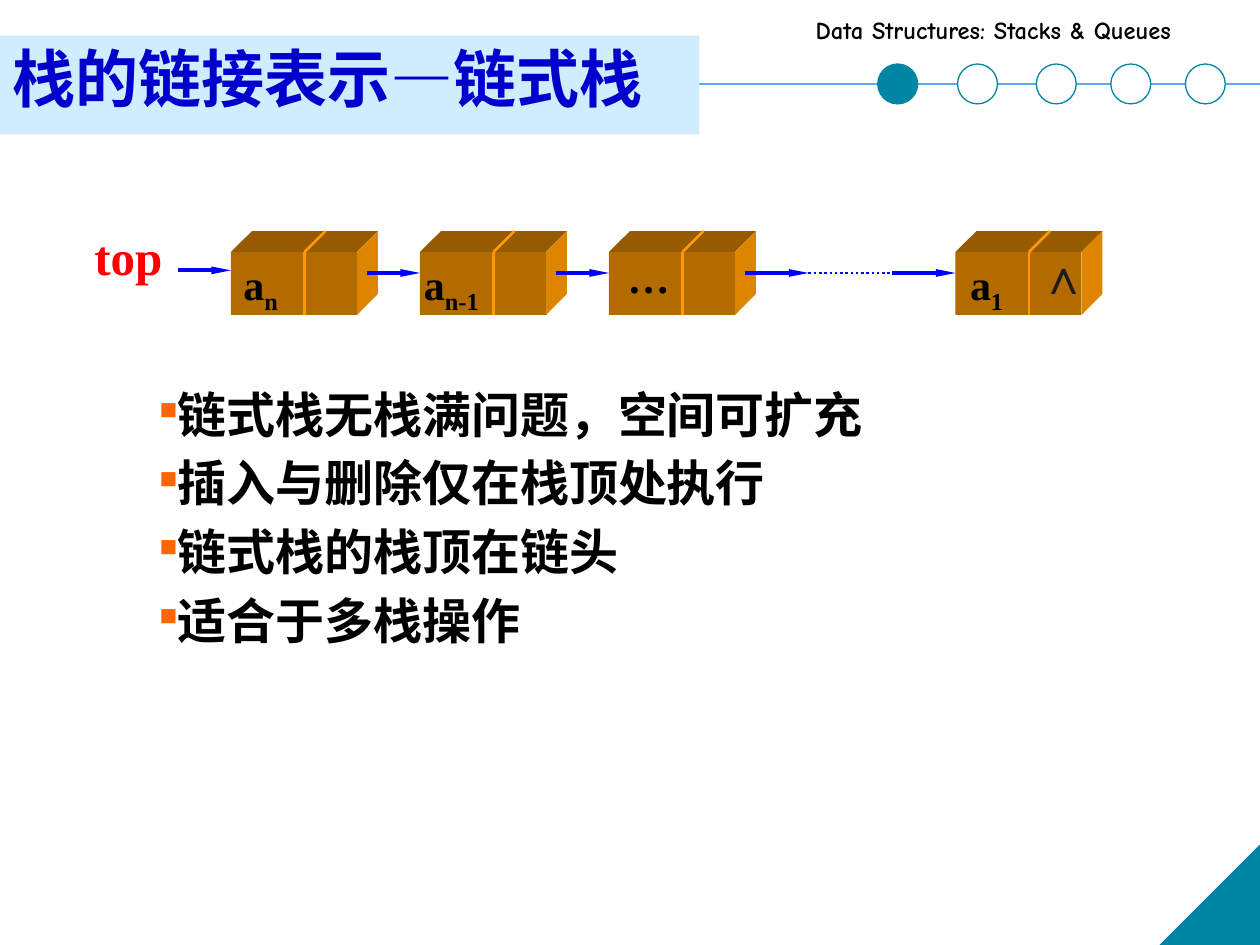
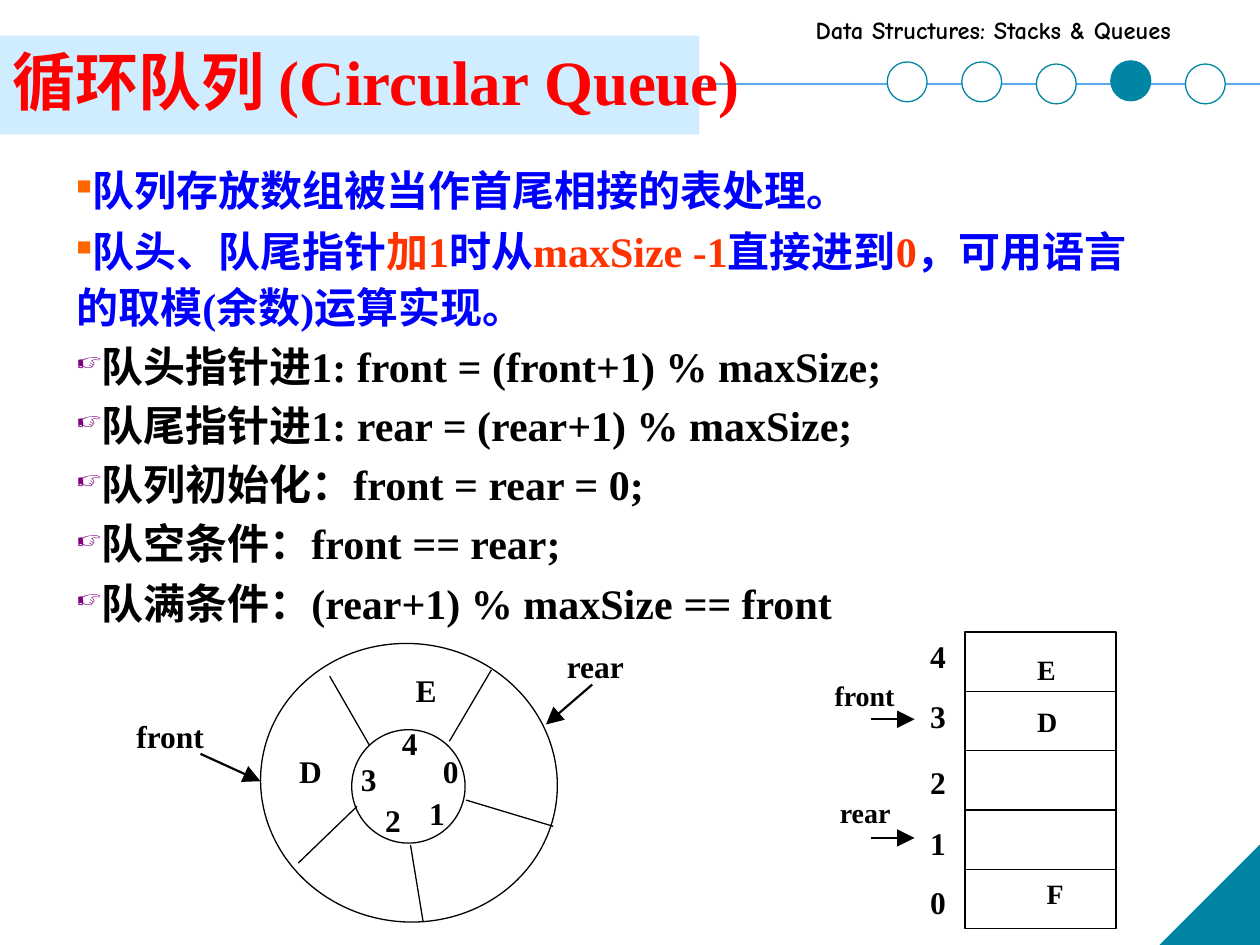
from dataclasses import dataclass
from typing import NamedTuple, Optional, Sequence

from lxml.etree import SubElement
from pptx import Presentation
from pptx.dml.color import RGBColor
from pptx.enum.dml import MSO_LINE
from pptx.enum.shapes import MSO_CONNECTOR, MSO_SHAPE
from pptx.enum.text import MSO_ANCHOR, PP_ALIGN
from pptx.oxml.ns import qn
from pptx.util import Inches, Pt

COLUMNS, ROWS = 120, 90
WIDTH, HEIGHT = Inches(10), Inches(7.5)


@dataclass(frozen=True)
class Theme:
    serif: str = "Times New Roman"
    sans: str = "Noto Sans CJK SC"
    header_font: str = "Comic Neue"
    black: str = "000000"
    near_black: str = "1C1C1C"
    white: str = "FFFFFF"
    teal: str = "0085A4"
    rule: str = "5AAAED"
    band: str = "CFEDFE"
    navy: str = "0000CC"
    blue: str = "0000FF"
    red: str = "FF0000"
    vermilion: str = "FF3300"
    bullet: str = "FF6600"
    pointer: str = "800080"
    cube_front: str = "B36B00"
    cube_top: str = "965A00"
    cube_side: str = "DE8500"
    cube_edge: str = "FF9900"
    title_size: float = 36
    large: float = 28
    body: float = 24
    label: float = 18
    small: float = 16
    header_size: float = 14


THEME = Theme()


class Point(NamedTuple):
    column: float
    row: float


class Box(NamedTuple):
    column: float
    row: float
    columns: float
    rows: float


class Run(NamedTuple):
    text: str
    color: str = THEME.black
    italic: bool = False
    subscript: bool = False


class Label(NamedTuple):
    runs: Sequence[Run]
    at: Point
    size: float = THEME.label
    columns: float = 9


class Bullet(NamedTuple):
    character: str
    color: str
    percent: int


class Item(NamedTuple):
    bullet: Bullet
    runs: Sequence[Run]
    line_spacing: float = 1.0


class Arrowhead(NamedTuple):
    width: str
    length: str


SLIM_HEAD = Arrowhead("sm", "lg")
WIDE_HEAD = Arrowhead("lg", "lg")
SQUARE = Bullet("■", THEME.bullet, 50)
HAND = Bullet("☞", THEME.pointer, 60)


def across(columns: float) -> int:
    return round(WIDTH * columns / COLUMNS)


def down(rows: float) -> int:
    return round(HEIGHT * rows / ROWS)


def frame(box: Box) -> tuple:
    return across(box.column), down(box.row), across(box.columns), down(box.rows)


def paint(shape, fill: Optional[str], line: Optional[str] = None) -> None:
    shape.shadow.inherit = False
    if fill:
        shape.fill.solid()
        shape.fill.fore_color.rgb = RGBColor.from_string(fill)
    else:
        shape.fill.background()
    if line:
        shape.line.color.rgb = RGBColor.from_string(line)
        shape.line.width = Pt(0.75)
    else:
        shape.line.fill.background()


def add_preset(slide, kind, box: Box, fill: Optional[str], line: Optional[str] = None):
    shape = slide.shapes.add_shape(kind, *frame(box))
    paint(shape, fill, line)
    return shape


def add_polygon(slide, points: Sequence[Point], fill: str) -> None:
    corners = [(across(point.column), down(point.row)) for point in points]
    builder = slide.shapes.build_freeform(*corners[0])
    builder.add_line_segments(corners[1:], close=True)
    paint(builder.convert_to_shape(), fill)


def add_line(slide, start: Point, end: Point, color: str, width: float,
             head: Optional[Arrowhead] = None, dash=None) -> None:
    line = slide.shapes.add_connector(MSO_CONNECTOR.STRAIGHT, across(start.column), down(start.row),
                                      across(end.column), down(end.row))
    line.line.color.rgb = RGBColor.from_string(color)
    line.line.width = Pt(width)
    if dash:
        line.line.dash_style = dash
    if head:
        SubElement(line.line._get_or_add_ln(), qn("a:tailEnd"), type="triangle", w=head.width, len=head.length)
    SubElement(line._element.spPr, qn("a:effectLst"))


def fill_paragraph(paragraph, runs: Sequence[Run], size: float, font: str = THEME.serif) -> None:
    for part in runs:
        run = paragraph.add_run()
        run.text = part.text
        run.font.name = font
        run.font.size = Pt(size)
        run.font.bold = True
        run.font.color.rgb = RGBColor.from_string(part.color)
        if part.italic:
            run.font.italic = True
        properties = run.font._element
        if part.subscript:
            properties.set("baseline", "-25000")
        SubElement(properties, qn("a:ea"), typeface=THEME.sans)


def add_label(slide, label: Label, font: str = THEME.serif) -> None:
    box = Box(*label.at, label.columns, 5)
    text_frame = slide.shapes.add_textbox(*frame(box)).text_frame
    text_frame.word_wrap = True
    fill_paragraph(text_frame.paragraphs[0], label.runs, label.size, font)


def add_bullet(paragraph, bullet: Bullet) -> None:
    properties = paragraph._p.get_or_add_pPr()
    properties.set("marL", "0")
    properties.set("indent", "0")
    color = SubElement(properties, qn("a:buClr"))
    SubElement(color, qn("a:srgbClr"), val=bullet.color)
    SubElement(properties, qn("a:buSzPct"), val=str(bullet.percent * 1000))
    SubElement(properties, qn("a:buChar"), char=bullet.character)


def add_items(slide, box: Box, items: Sequence[Item], size: float, gap: float) -> None:
    text_frame = slide.shapes.add_textbox(*frame(box)).text_frame
    text_frame.word_wrap = True
    for index, item in enumerate(items):
        paragraph = text_frame.add_paragraph() if index else text_frame.paragraphs[0]
        add_bullet(paragraph, item.bullet)
        paragraph.line_spacing = item.line_spacing
        paragraph.space_before = Pt(gap if index else 0)
        fill_paragraph(paragraph, item.runs, size)


def add_themed_slide(presentation, title: str, title_box: Box, color: str, font: str,
                     dots: Sequence[Point], current: int):
    """Add a slide with the shared decoration, its title and its progress dots."""
    slide = presentation.slides.add_slide(presentation.slide_layouts[5])
    add_line(slide, Point(0, 8), Point(COLUMNS, 8), THEME.rule, 1)
    corner = add_preset(slide, MSO_SHAPE.RIGHT_TRIANGLE, Box(110.5, 80.5, 9.5, 9.5), THEME.teal, THEME.teal)
    corner._element.spPr.find(qn("a:xfrm")).set("flipH", "1")
    header = Label([Run("Data Structures: Stacks & Queues")], Point(76.5, 0.85), THEME.header_size, 43)
    add_label(slide, header, THEME.header_font)
    add_preset(slide, MSO_SHAPE.RECTANGLE, Box(0, 3.4, 66.6, 9.4), THEME.band)

    placeholder = slide.shapes.title
    placeholder.left, placeholder.top, placeholder.width, placeholder.height = frame(title_box)
    placeholder.text_frame.vertical_anchor = MSO_ANCHOR.TOP
    paragraph = placeholder.text_frame.paragraphs[0]
    paragraph.alignment = PP_ALIGN.LEFT
    fill_paragraph(paragraph, [Run(title, color)], THEME.title_size, font)
    slide.shapes._spTree.append(placeholder._element)

    for index, dot in enumerate(dots):
        fill = THEME.teal if index == current else THEME.white
        add_preset(slide, MSO_SHAPE.OVAL, Box(*dot, 3.8, 3.8), fill, THEME.teal)
    return slide


def add_node(slide, column: float) -> None:
    """Draw a list node as a solid block split into data and link fields."""
    top, bottom, right, split, depth = 24, 30, column + 12, column + 7, 2
    add_preset(slide, MSO_SHAPE.RECTANGLE, Box(column, top, 12, 6), THEME.cube_front)
    add_polygon(slide, [Point(column, top), Point(column + depth, top - depth),
                        Point(right + depth, top - depth), Point(right, top)], THEME.cube_top)
    add_polygon(slide, [Point(right, top), Point(right + depth, top - depth),
                        Point(right + depth, bottom - depth), Point(right, bottom)], THEME.cube_side)
    for end in (Point(split, bottom), Point(split + depth, top - depth)):
        add_line(slide, Point(split, top), end, THEME.cube_edge, 1.5)


def build_linked_stack(presentation) -> None:
    dots = [Point(column, 6.1) for column in (83.6, 91.2, 98.7, 105.8, 112.9)]
    slide = add_themed_slide(presentation, "栈的链接表示—链式栈", Box(0, 3.2, 81, 10),
                             THEME.navy, THEME.sans, dots, current=0)
    points = ("链式栈无栈满问题，空间可扩充", "插入与删除仅在栈顶处执行", "链式栈的栈顶在链头", "适合于多栈操作")
    add_items(slide, Box(14, 36, 99, 35), [Item(SQUARE, [Run(point)]) for point in points], THEME.large, 5.6)

    for column in (22, 40, 58, 91):
        add_node(slide, column)
    for start, end, row in ((17, 22, 25.75), (35, 40, 26), (53, 58, 26), (71, 77, 26), (85, 91, 26)):
        add_line(slide, Point(start, row), Point(end, row), THEME.blue, 2.25, SLIM_HEAD)
    add_line(slide, Point(77, 26), Point(85, 26), THEME.blue, 1.5, dash=MSO_LINE.ROUND_DOT)

    add_label(slide, Label([Run("top", THEME.red)], Point(7.8, 21), THEME.large))
    for subscript, column in (("n", 22), ("n-1", 39.2), ("1", 91.2)):
        add_label(slide, Label([Run("a"), Run(subscript, subscript=True)], Point(column, 24), THEME.body))
    add_label(slide, Label([Run("…")], Point(58.6, 23.4), THEME.body))
    add_label(slide, Label([Run("∧", THEME.near_black)], Point(97.8, 22.8), THEME.large))


def draw_ring(slide) -> None:
    for box in (Box(24.8, 61.3, 28.3, 26.5), Box(33.5, 69.5, 10.8, 10.8)):
        add_preset(slide, MSO_SHAPE.OVAL, box, None, THEME.black).rotation = 8.3
    spokes = ((42.8, 70.6, 46.8, 63.8), (44.4, 76.2, 52.7, 78.7), (39.1, 80.5, 40.3, 87.8),
              (34, 76.8, 28.4, 82.2), (35.2, 71, 31.4, 64.4))
    for column, row, end_column, end_row in spokes:
        add_line(slide, Point(column, row), Point(end_column, end_row), THEME.black, 0.75)
    add_line(slide, Point(19.1, 71.8), Point(24.8, 74.4), THEME.black, 1.25, WIDE_HEAD)
    add_line(slide, Point(56.4, 65.2), Point(52, 69), THEME.black, 1.25, WIDE_HEAD)
    labels = (("0", 41, 71), ("1", 39.7, 75), ("2", 35.5, 75.7), ("3", 33.2, 71.8), ("4", 37.1, 68.4),
              ("D", 27.3, 71), ("E", 38.4, 63.3), ("front", 11.8, 67.7), ("rear", 52.8, 61))
    for text, column, row in labels:
        add_label(slide, Label([Run(text)], Point(column, row)))


def draw_array(slide) -> None:
    left, top, width, cell, cells = 91.9, 60.2, 14.4, 5.65, 5
    add_preset(slide, MSO_SHAPE.RECTANGLE, Box(left, top, width, cell * cells), None, THEME.black)
    for index in range(1, cells):
        row = top + index * cell
        add_line(slide, Point(left, row), Point(left + width, row), THEME.black, 0.75)
    for index, row in enumerate((83.5, 77.9, 72.1, 65.8, 60.1)):
        add_label(slide, Label([Run(str(index))], Point(87.4, row)))
    for row in (68.5, 79.8):
        add_line(slide, Point(83, row), Point(87.1, row), THEME.black, 1.25, WIDE_HEAD)
    labels = (("front", 78.3, 64), ("rear", 78.8, 75.2), ("E", 97.6, 61.6), ("D", 97.6, 66.5), ("F", 98.5, 82.9))
    for text, column, row in labels:
        add_label(slide, Label([Run(text)], Point(column, row), THEME.small))


def build_circular_queue(presentation) -> None:
    dots = [Point(84.5, 5.9), Point(91.6, 5.9), Point(98.7, 6.1), Point(105.8, 5.8), Point(112.9, 6.1)]
    slide = add_themed_slide(presentation, "循环队列 (Circular Queue)", Box(0, 3.4, 89, 8),
                             THEME.red, THEME.serif, dots, current=3)
    wrap_rule = (("队头、队尾指针", THEME.blue), ("加1", THEME.vermilion), ("时从", THEME.blue),
                 ("maxSize -1", THEME.vermilion), ("直接进到", THEME.blue), ("0", THEME.vermilion),
                 ("，可用语言的取模(余数)运算实现。", THEME.blue))
    equal = Run("==", italic=True)
    operations = ([Run("队头指针进1: front = (front+1) % maxSize;")],
                  [Run("队尾指针进1: rear = (rear+1) % maxSize;")],
                  [Run("队列初始化：front = rear = 0;")],
                  [Run("队空条件：front "), equal, Run(" rear;")],
                  [Run("队满条件：(rear+1) % maxSize "), equal, Run(" front")])
    items = [Item(SQUARE, [Run("队列存放数组被当作首尾相接的表处理。", THEME.blue)], 1.05),
             Item(SQUARE, [Run(*part) for part in wrap_rule], 1.1)]
    items += [Item(HAND, runs, 1.05) for runs in operations]
    add_items(slide, Box(6.1, 14.8, 106, 63), items, THEME.body, 3.6)
    draw_ring(slide)
    draw_array(slide)


def main() -> None:
    presentation = Presentation()
    presentation.slide_width, presentation.slide_height = WIDTH, HEIGHT
    build_linked_stack(presentation)
    build_circular_queue(presentation)
    presentation.save("out.pptx")


if __name__ == "__main__":
    main()
